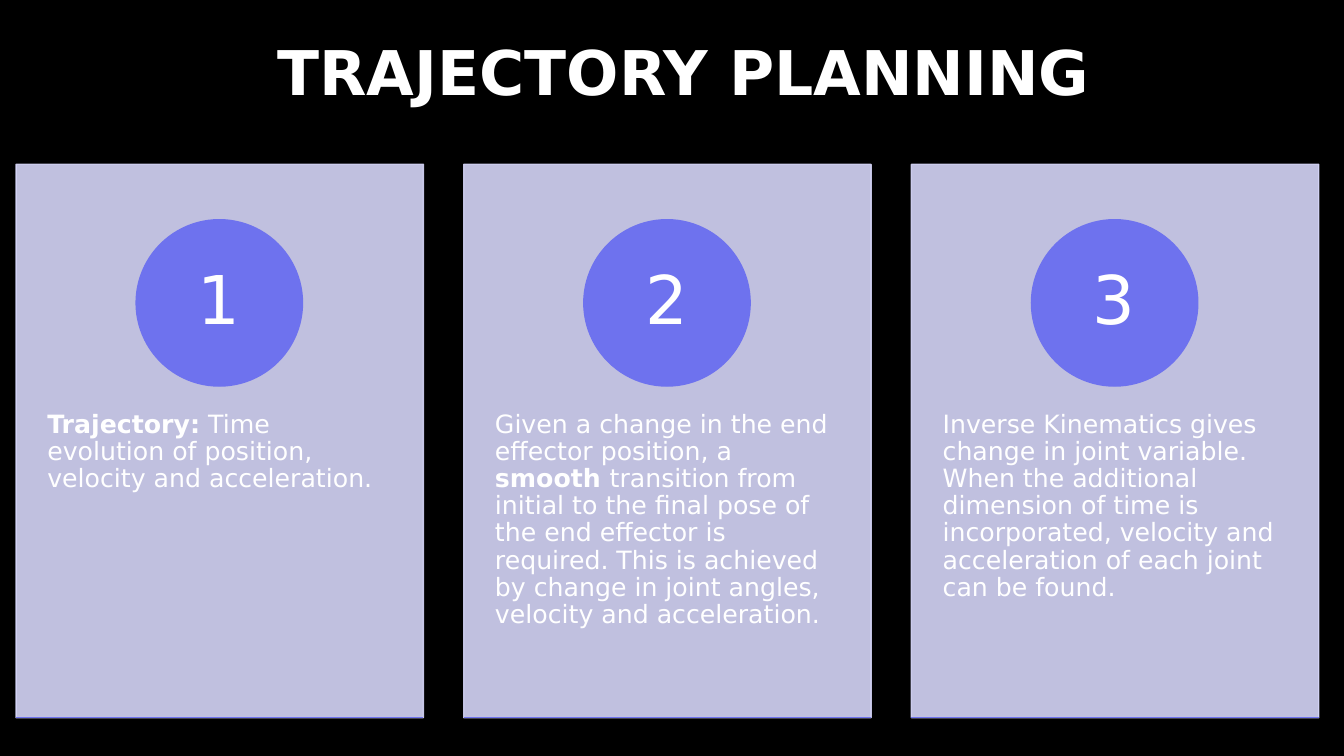
from pptx import Presentation
from pptx import util as u
from pptx.dml.color import RGBColor
from pptx.enum import shapes, text
from pptx.oxml import ns
from lxml import etree

PX = u.Inches(1) // 100
BLACK = RGBColor(0x00, 0x00, 0x00)
WHITE = RGBColor(0xFF, 0xFF, 0xFF)
LAVENDER = RGBColor(0xD5, 0xD5, 0xF8)
VIOLET = RGBColor(0x6E, 0x72, 0xEE)

TITLE = [("TRAJECTORY PLANNING ", True)]
CARDS = [
    [("Trajectory:", True),
     (" Time evolution of position, velocity and acceleration.", False)],
    [("Given a change in the end effector position, a ", False),
     ("smooth ", True),
     ("transition from initial to the final pose of the end effector is required. "
      "This is achieved by change in joint angles, velocity and acceleration.", False)],
    [("Inverse Kinematics gives change in joint variable. When the additional "
      "dimension of time is incorporated, velocity and acceleration of each "
      "joint can be found.", False)],
]


def px(*lengths):
    return [length * PX for length in lengths]


def set_all(target, values):
    for name, value in values.items():
        setattr(target, name, value)


def add_text(slide, box, runs, size, align, anchor, insets):
    frame = slide.shapes.add_textbox(*px(*box)).text_frame
    horizontal, vertical = px(*insets)
    set_all(frame, {
        "word_wrap": True, "vertical_anchor": anchor,
        "margin_left": horizontal, "margin_right": horizontal,
        "margin_top": vertical, "margin_bottom": vertical,
    })
    paragraph = frame.paragraphs[0]
    set_all(paragraph, {"alignment": align, "line_spacing": 0.9})
    for words, bold in runs:
        run = paragraph.add_run()
        run.text = words
        set_all(run.font, {"name": "DejaVu Sans", "size": u.Pt(size), "bold": bold})
        run.font.color.rgb = WHITE


def add_filled(slide, kind, box, color, opacity=100):
    shape = slide.shapes.add_shape(kind, *px(*box))
    shape.shadow.inherit = False
    shape.fill.solid()
    shape.fill.fore_color.rgb = color
    shape.line.color.rgb = color
    shape.line.width = u.Pt(1)
    if opacity < 100:
        for tint in shape._element.spPr.iter(ns.qn("a:srgbClr")):
            etree.SubElement(tint, ns.qn("a:alpha"), val=str(opacity * 1000))


def add_rule(slide, left, top, width):
    rule = slide.shapes.add_connector(
        shapes.MSO_CONNECTOR.STRAIGHT, *px(left, top, left + width, top))
    rule.line.color.rgb = VIOLET
    rule.line.width = u.Pt(1)
    etree.SubElement(rule._element.spPr, ns.qn("a:effectLst"))


def add_title(slide, box):
    add_text(slide, box, TITLE, 44, text.PP_ALIGN.CENTER,
             text.MSO_ANCHOR.TOP, (10, 5))


def add_card(slide, box, number, runs):
    left, top, width, height = box
    add_filled(slide, shapes.MSO_SHAPE.RECTANGLE, box, LAVENDER, 90)
    add_text(slide, (left, top + 209, width, 329), runs, 18,
             text.PP_ALIGN.LEFT, text.MSO_ANCHOR.TOP, (31, 36))
    badge = 165
    circle = (left + (width - badge) // 2, top + 55, badge, badge)
    add_filled(slide, shapes.MSO_SHAPE.OVAL, circle, VIOLET)
    label = (circle[0] + 24, circle[1] + 24, 116, 116)
    add_text(slide, label, [(str(number), False)], 48,
             text.PP_ALIGN.CENTER, text.MSO_ANCHOR.MIDDLE, (13, 1))
    add_rule(slide, left, top + height, width)


def add_cards(slide, box):
    left, top, width, height = box
    gap = 40
    card_width = (width - gap * (len(CARDS) - 1)) // len(CARDS)
    for index, runs in enumerate(CARDS):
        card = (left + index * (card_width + gap), top, card_width, height)
        add_card(slide, card, index + 1, runs)


def main():
    presentation = Presentation()
    set_all(presentation, {"slide_width": 1333 * PX, "slide_height": 750 * PX})
    slide = presentation.slides.add_slide(presentation.slide_layouts[6])
    slide.background.fill.solid()
    slide.background.fill.fore_color.rgb = BLACK
    add_title(slide, (189, 37, 1000, 138))
    add_cards(slide, (16, 163, 1292, 549))
    presentation.save("out.pptx")


if __name__ == "__main__":
    main()
